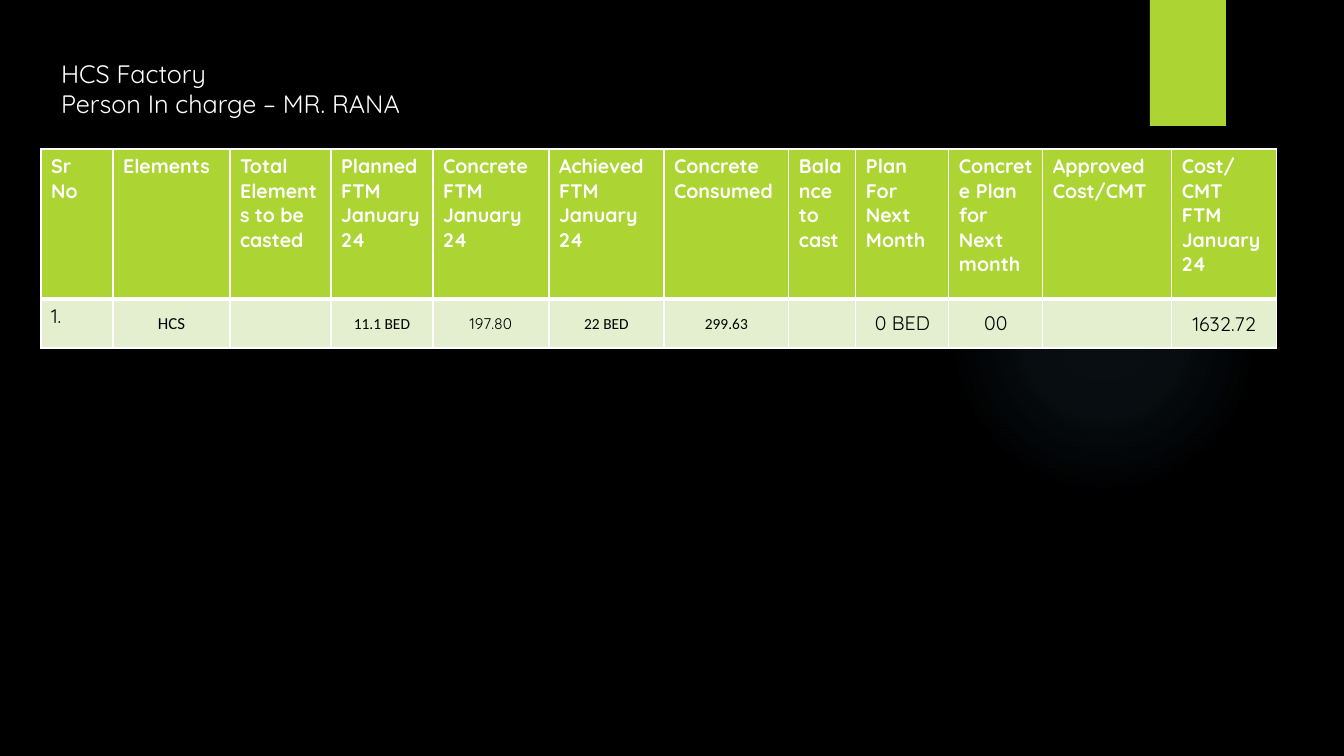
from itertools import pairwise
from lxml import etree
from pptx import Presentation
from pptx.dml.color import RGBColor
from pptx.enum.shapes import MSO_SHAPE as SHAPE
from pptx.enum.text import MSO_ANCHOR as ANCHOR, MSO_AUTO_SIZE as AUTO, PP_ALIGN as ALIGN
from pptx.oxml import parse_xml
from pptx.oxml.ns import nsdecls, qn
from pptx.util import Emu, Pt

WHITE, BLACK, LIME, PALE, SKY = "FFFFFF", "000000", "ACD433", "E3EFCE", "7AC4F0"
SANS, PLAIN = "Quicksand", "Calibri"
COLUMN_EDGES = [41, 113, 230, 331, 433, 549, 664, 789, 856, 949, 1043, 1172, 1277]
ROW_HEIGHTS = [150, 49]
HEADERS = ["Sr No", "Elements", "Total Elements to be casted", "Planned FTM January 24",
           "Concrete FTM January 24", "Achieved FTM January 24", "Concrete Consumed",
           "Balance to cast", "Plan For Next Month", "Concrete Plan for Next month",
           "Approved Cost/CMT", "Cost/CMT FTM January 24"]
TIGHT = {"margin_left": 1, "margin_top": 1, "margin_right": 1, "margin_bottom": 0}
VALUES = [("1.", 14, SANS, None), ("HCS", 12, PLAIN, TIGHT), None,
          ("11.1 BED", 11, PLAIN, TIGHT), ("197.80", 11, SANS, TIGHT),
          ("22 BED", 11, PLAIN, TIGHT), ("299.63", 11, PLAIN, TIGHT), None,
          ("0 BED", 14, SANS, {}), ("00", 14, SANS, {}), None,
          ("1632.72", 14, SANS, TIGHT)]


def px(n):
    return Emu(round(n * 914400 / 100.8))


def rgb(value):
    return RGBColor.from_string(value)


def apply(obj, values):
    for name, value in values.items():
        setattr(obj, name, value)


class Deck:
    """Holds the presentation, its text style and the current slide."""

    def __init__(self, width, height, background):
        self.prs = Presentation()
        apply(self.prs, {"slide_width": px(width), "slide_height": px(height)})
        self.s = self.prs.slides.add_slide(self.prs.slide_layouts[5])
        fill = self.s.background.fill
        fill.solid()
        fill.fore_color.rgb = rgb(background)

    def text(self, tf, words, size, color, font=SANS, bold=False, align=ALIGN.LEFT):
        tf.text = words
        p = tf.paragraphs[0]
        p.alignment = align
        for r in p.runs:
            apply(r.font, {"size": Pt(size), "name": font, "bold": bold})
            r.font.color.rgb = rgb(color)

    def shape(self, kind, box, color):
        sp = self.s.shapes.add_shape(kind, *map(px, box))
        sp.shadow.inherit = False
        sp.fill.solid()
        sp.fill.fore_color.rgb = rgb(color)
        sp.line.fill.background()
        return sp

    def glow(self, box, color, stops):
        sp = self.shape(SHAPE.OVAL, box, color)
        marks = "".join(
            f'<a:gs pos="{pos * 1000}"><a:srgbClr val="{color}">'
            f'<a:alpha val="{alpha * 1000}"/></a:srgbClr></a:gs>' for pos, alpha in stops)
        solid = sp._element.spPr.find(qn("a:solidFill"))
        solid.getparent().replace(solid, parse_xml(
            f'<a:gradFill {nsdecls("a")}><a:gsLst>{marks}</a:gsLst><a:path path="circle">'
            '<a:fillToRect l="50000" t="50000" r="50000" b="50000"/></a:path></a:gradFill>'))

    def title(self, box, words, size, color):
        sp = self.s.shapes.title
        apply(sp, dict(zip(("left", "top", "width", "height"), map(px, box))))
        self.text(sp.text_frame, words, size, color)
        apply(sp.text_frame, {"word_wrap": True, "vertical_anchor": ANCHOR.TOP,
                              "auto_size": AUTO.SHAPE_TO_FIT_TEXT})

    def table(self, top, edges, heights):
        frame = self.s.shapes.add_table(
            len(heights), len(edges) - 1, px(edges[0]), px(top),
            px(edges[-1] - edges[0]), px(sum(heights)))
        for column, (left, right) in zip(frame.table.columns, pairwise(edges)):
            column.width = px(right - left)
        for row, height in zip(frame.table.rows, heights):
            row.height = px(height)
        return frame.table

    def paint(self, cell, color, top, bottom):
        tcPr = cell._tc.get_or_add_tcPr()
        for side, width in (("L", 1), ("R", 1), ("T", top), ("B", bottom)):
            ln = etree.SubElement(tcPr, qn(f"a:ln{side}"), w=str(Pt(width)))
            fill = etree.SubElement(ln, qn("a:solidFill"))
            etree.SubElement(fill, qn("a:srgbClr"), val=WHITE)
        cell.fill.solid()
        cell.fill.fore_color.rgb = rgb(color)


def main():
    deck = Deck(1344, 756, BLACK)
    deck.glow((949, 184, 310, 310), SKY, [(0, 7), (36, 6), (69, 0)])
    deck.shape(SHAPE.RECTANGLE, (1150, 0, 76, 126), LIME)
    table = deck.table(149, COLUMN_EDGES, ROW_HEIGHTS)
    for i, (header, value) in enumerate(zip(HEADERS, VALUES)):
        head, body = table.cell(0, i), table.cell(1, i)
        deck.paint(head, LIME, 1, 3)
        deck.paint(body, PALE, 3, 1)
        deck.text(head.text_frame, header, 14, WHITE, bold=True)
        if value:
            words, size, font, margins = value
            centred = margins is not None
            deck.text(body.text_frame, words, size, BLACK, font,
                      align=ALIGN.CENTER if centred else ALIGN.LEFT)
            if centred:
                body.vertical_anchor = ANCHOR.MIDDLE
                apply(body, {name: px(n) for name, n in margins.items()})
    deck.title((51, 53, 672, 72), "HCS Factory\vPerson In charge – MR. RANA", 18, WHITE)
    deck.prs.save("out.pptx")


if __name__ == "__main__":
    main()
